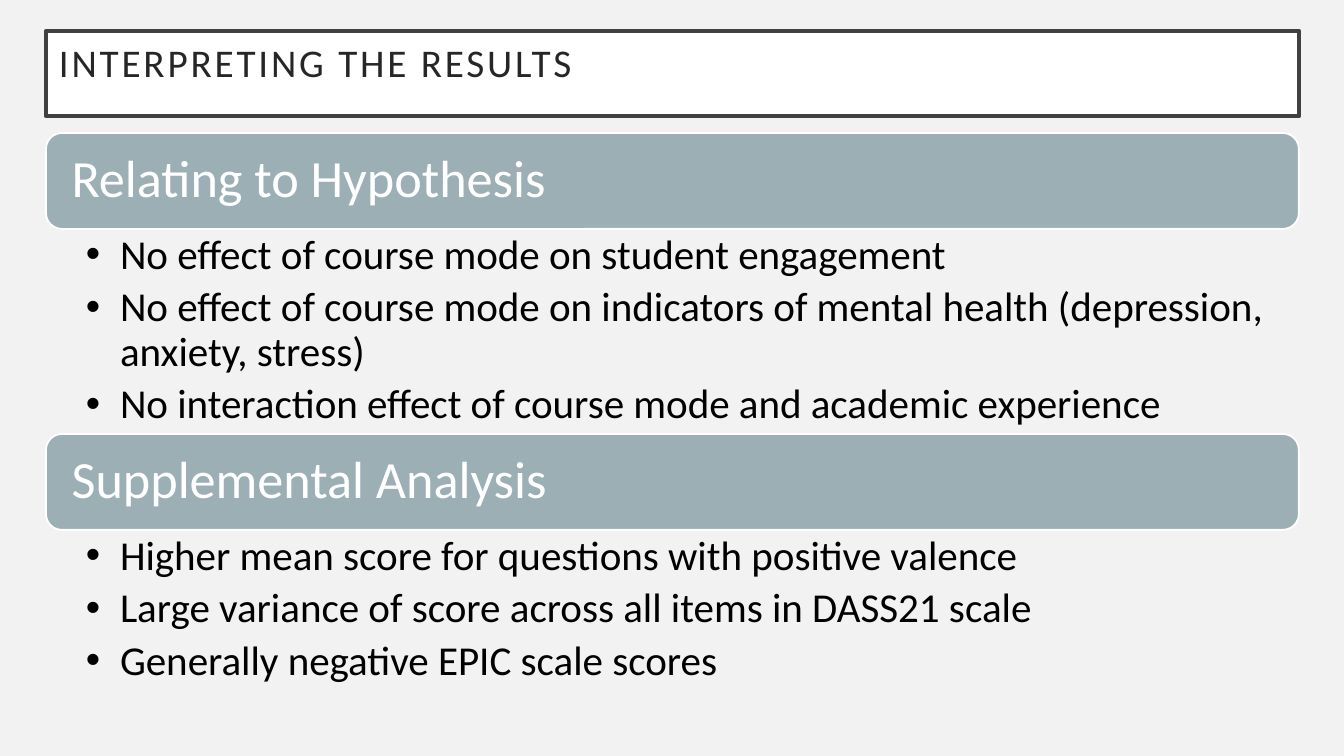
from pptx import Presentation
from pptx.dml.color import RGBColor
from pptx.enum.shapes import MSO_SHAPE
from pptx.enum.text import MSO_ANCHOR, MSO_AUTO_SIZE, PP_ALIGN
from pptx.util import Emu, Pt

LEFT, WIDTH = 46, 1253
HEADING_TOP, HEADING_HEIGHT = 133, 96
SECTIONS = [
    ("Relating to Hypothesis", 205, [
        "No effect of course mode on student engagement",
        "No effect of course mode on indicators of mental health (depression, anxiety, stress)",
        "No interaction effect of course mode and academic experience",
    ]),
    ("Supplemental Analysis", 161, [
        "Higher mean score for questions with positive valence",
        "Large variance of score across all items in DASS21 scale",
        "Generally negative EPIC scale scores",
    ]),
]


def px(length):
    return Emu(round(length * 914400 / 134.4))


def color(value):
    return RGBColor.from_string(value)


class SlideBuilder:
    font_name = "Calibri"
    background = "F2F2F2"
    accent = "9BAFB5"
    white = "FFFFFF"
    frame = "404040"
    title_ink = "262626"
    ink = "000000"

    def __init__(self, slide):
        self.slide = slide
        fill = slide.background.fill
        fill.solid()
        fill.fore_color.rgb = color(self.background)

    def place(self, shape, top, height):
        shape.left, shape.top = px(LEFT), px(top)
        shape.width, shape.height = px(WIDTH), px(height)

    def paint(self, shape, fill, line, line_width):
        shape.fill.solid()
        shape.fill.fore_color.rgb = color(fill)
        shape.line.color.rgb = color(line)
        shape.line.width = Pt(line_width)

    def set_frame(self, shape, anchor, insets):
        """Insets run left, top, right, bottom."""
        text_frame = shape.text_frame
        text_frame.word_wrap = True
        text_frame.auto_size = MSO_AUTO_SIZE.NONE
        text_frame.vertical_anchor = anchor
        (text_frame.margin_left, text_frame.margin_top,
         text_frame.margin_right, text_frame.margin_bottom) = map(px, insets)

    def style(self, paragraph, size, ink):
        paragraph.alignment = PP_ALIGN.LEFT
        paragraph.line_spacing = 0.9
        paragraph.space_before = Pt(0)
        paragraph.font.name = self.font_name
        paragraph.font.size = Pt(size)
        paragraph.font.color.rgb = color(ink)

    def title(self, text, top, height):
        shape = self.slide.shapes.title
        self.place(shape, top, height)
        self.paint(shape, self.white, self.frame, 2.5)
        self.set_frame(shape, MSO_ANCHOR.TOP, (13, 13, 13, 13))
        shape.text_frame.text = text
        paragraph = shape.text_frame.paragraphs[0]
        self.style(paragraph, 21, self.title_ink)
        paragraph.runs[0].font._element.set("spc", "150")

    def heading(self, text, top, height):
        shape = self.slide.shapes.add_shape(
            MSO_SHAPE.ROUNDED_RECTANGLE, px(LEFT), px(top), px(WIDTH), px(height))
        shape.shadow.inherit = False
        self.paint(shape, self.accent, self.white, 1)
        self.set_frame(shape, MSO_ANCHOR.MIDDLE, (21, 16, 21, 16))
        shape.text_frame.text = text
        self.style(shape.text_frame.paragraphs[0], 28, self.white)

    def bullets(self, placeholder, items, top, height):
        self.place(placeholder, top, height)
        self.set_frame(placeholder, MSO_ANCHOR.TOP, (40, 5, 30, 5))
        placeholder.text_frame.text = "\n".join(items)
        for paragraph in placeholder.text_frame.paragraphs:
            properties = paragraph._p.get_or_add_pPr()
            properties.set("marL", str(px(34)))
            properties.set("indent", str(-px(34)))
            self.style(paragraph, 22, self.ink)
            paragraph.space_after = Pt(4.4)


def main():
    presentation = Presentation()
    presentation.slide_width, presentation.slide_height = px(1344), px(756)
    two_content = presentation.slide_layouts[3]
    slide = presentation.slides.add_slide(two_content)
    builder = SlideBuilder(slide)
    builder.title("INTERPRETING THE RESULTS", 31, 85)

    top = HEADING_TOP
    for index, (heading, list_height, items) in enumerate(SECTIONS, start=1):
        builder.heading(heading, top, HEADING_HEIGHT)
        top += HEADING_HEIGHT
        builder.bullets(slide.placeholders[index], items, top, list_height)
        top += list_height

    presentation.save("out.pptx")


if __name__ == "__main__":
    main()
